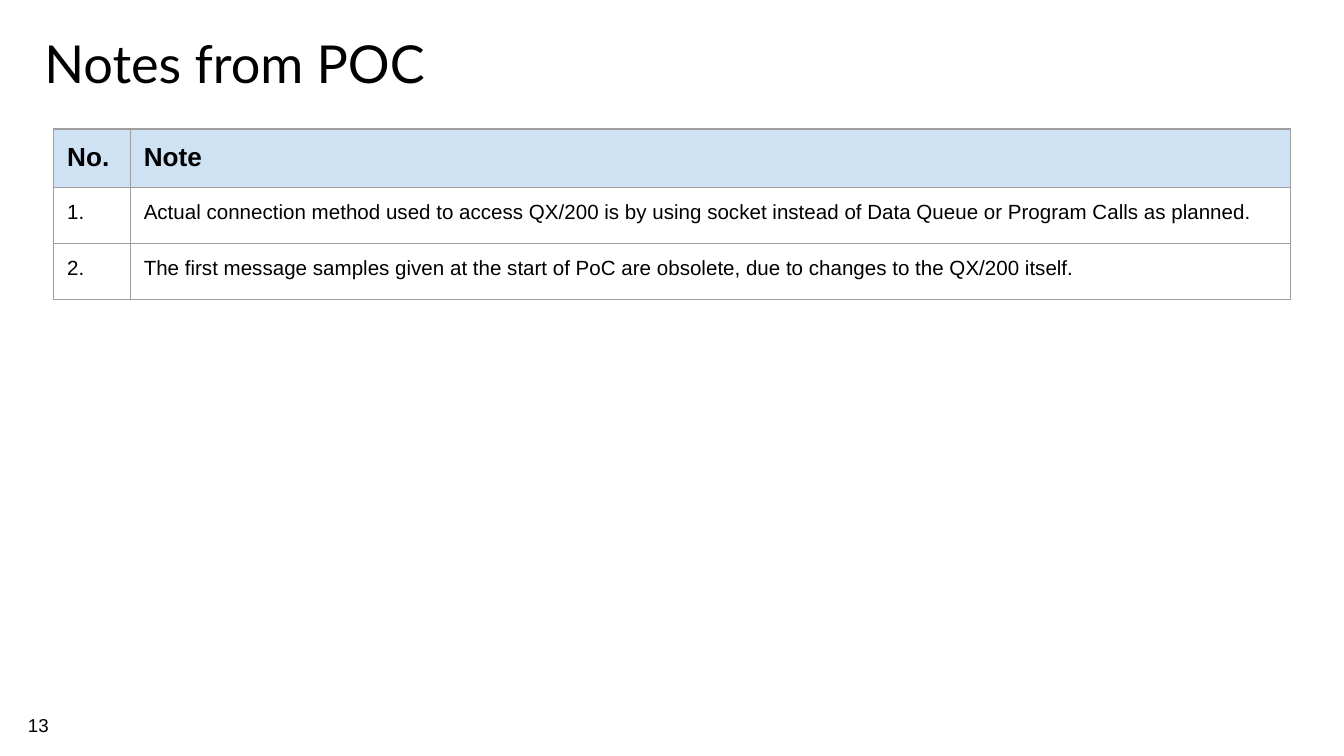
"""Build the "Notes from POC" slide with its table of numbered notes."""
import pptx
import pptx.util
import pptx.dml.color
import pptx.enum.text
import pptx.oxml
import pptx.oxml.ns
from lxml import etree
from pptx.util import Inches

BLACK = pptx.dml.color.RGBColor(0x00, 0x00, 0x00)
HEADER_BLUE = pptx.dml.color.RGBColor(0xCF, 0xE2, 0xF3)
BORDER_GREY = pptx.dml.color.RGBColor(0x9E, 0x9E, 0x9E)
ANCHOR = pptx.enum.text.MSO_ANCHOR
INSET = Inches(0.1)


def write(frame, text, size, font="Arial", bold=False, anchor=ANCHOR.TOP):
    frame.word_wrap = True
    frame.vertical_anchor = anchor
    frame.margin_left = frame.margin_right = INSET
    frame.margin_top = frame.margin_bottom = INSET
    paragraph = frame.paragraphs[0]
    paragraph.alignment = pptx.enum.text.PP_ALIGN.LEFT
    run = paragraph.add_run()
    run.text = text
    run.font.size = pptx.util.Pt(size)
    run.font.name = font
    run.font.bold = bold
    run.font.color.rgb = BLACK


def add_borders(cell):
    properties = cell._tc.get_or_add_tcPr()
    for position, side in enumerate(("lnL", "lnR", "lnT", "lnB")):
        line = etree.Element(pptx.oxml.ns.qn(f"a:{side}"), w=str(pptx.util.Pt(0.75)))
        fill = etree.SubElement(line, pptx.oxml.ns.qn("a:solidFill"))
        etree.SubElement(fill, pptx.oxml.ns.qn("a:srgbClr"), val=str(BORDER_GREY))
        properties.insert(position, line)


presentation = pptx.Presentation()
presentation.slide_width = Inches(10)
presentation.slide_height = Inches(10 * 9 / 16)
slide = presentation.slides.add_slide(presentation.slide_layouts[5])

page_number = slide.shapes.add_textbox(Inches(0.11), Inches(5.18), Inches(0.39), Inches(0.43))
write(page_number.text_frame, "13", 10, anchor=ANCHOR.MIDDLE)

title = slide.shapes.title
title.left, title.top = Inches(0.23), Inches(0.21)
title.width, title.height = Inches(8.19), Inches(0.59)
title.text_frame.auto_size = pptx.enum.text.MSO_AUTO_SIZE.NONE
write(title.text_frame, "Notes from POC", 28, font="Lato", anchor=ANCHOR.BOTTOM)

notes = [
    ("No.", "Note"),
    ("1.", "Actual connection method used to access QX/200 is by using socket "
           "instead of Data Queue or Program Calls as planned."),
    ("2.", "The first message samples given at the start of PoC are obsolete, "
           "due to changes to the QX/200 itself."),
]
table_height = Inches(1.25)
notes_table = slide.shapes.add_table(
    len(notes), 2, Inches(0.4), Inches(0.96), Inches(9.2), table_height).table
notes_table.horz_banding = False
for column, width in zip(notes_table.columns, (0.57, 8.63)):
    column.width = Inches(width)

for row_index, row_texts in enumerate(notes):
    notes_table.rows[row_index].height = table_height // len(notes)
    is_header = row_index == 0
    for column_index, text in enumerate(row_texts):
        cell = notes_table.cell(row_index, column_index)
        if is_header:
            cell.fill.solid()
            cell.fill.fore_color.rgb = HEADER_BLUE
        else:
            cell.fill.background()
        cell.margin_left = cell.margin_right = INSET
        cell.margin_top = cell.margin_bottom = INSET
        write(cell.text_frame, text, 14 if is_header else 11, bold=is_header)
        add_borders(cell)

presentation.save("out.pptx")
